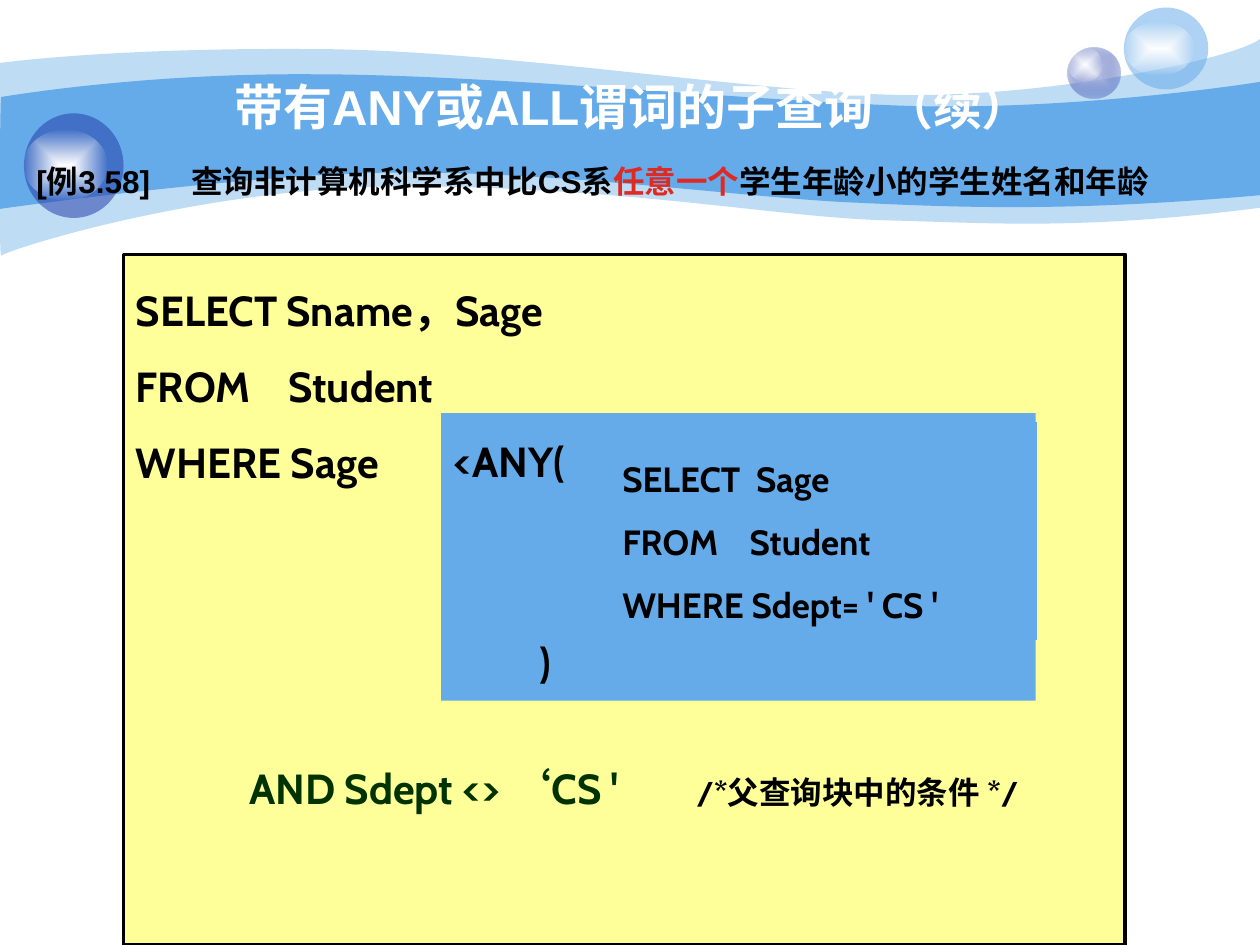
from lxml.etree import SubElement as Sub
from pptx import Presentation
from pptx.dml.color import RGBColor as RGB
from pptx.enum.shapes import MSO_SHAPE as Shape
from pptx.enum.text import MSO_ANCHOR as Anchor, PP_ALIGN as Align
from pptx.oxml.ns import qn
from pptx.util import Inches, Pt

THEME = dict(
    sky="65AAE9", navy="233DA9", mist="C7CEE9", white="FFFFFF", paper="FFFF99",
    ink="000000", green="003300", red="E02920",
    title=28, code=24, subcode=20, note=18, sans="Arial", mono="Cabin",
)

deck = Presentation()
deck.slide_width, deck.slide_height = Inches(10), Inches(7.5)
slide = deck.slides.add_slide(deck.slide_layouts[6])
CELL = deck.slide_width / 10  # grid of 10 columns by 7.5 rows


def paint(shape, *stops):
    """Fill with one (colour, opacity) stop, or with a gradient from centre to rim."""
    shape.shadow.inherit = False
    shape.line.fill.background()
    shape.fill.solid()
    shape.fill.fore_color.rgb = RGB.from_string(THEME[stops[0][0]])
    solid = shape._element.spPr.find(qn("a:solidFill"))
    if len(stops) == 1:
        parents = [solid]
        solid.remove(solid[0])
    else:
        gradient = solid.makeelement(qn("a:gradFill"), {"rotWithShape": "1"})
        solid.getparent().replace(solid, gradient)
        stop_list = Sub(gradient, qn("a:gsLst"))
        parents = [Sub(stop_list, qn("a:gs"), pos=pos) for pos in ("0", "100000")]
        focus = Sub(gradient, qn("a:path"), path="rect")
        Sub(focus, qn("a:fillToRect"), l="50000", t="50000", r="50000", b="50000")
    for parent, (colour, opacity) in zip(parents, stops):
        tint = Sub(parent, qn("a:srgbClr"), val=THEME[colour])
        if opacity < 100:
            Sub(tint, qn("a:alpha"), val=str(opacity * 1000))


def write(box, lines, font, size, spacing=1.0, top=0.05, align=Align.LEFT,
          anchor=Anchor.TOP, indent=0, tab=None):
    """Lines are lists of (text, colour) or (text, colour, size) runs."""
    frame = box.text_frame
    frame.word_wrap = True
    frame.vertical_anchor = anchor
    frame.margin_left = frame.margin_right = int(0.1 * CELL)
    frame.margin_top, frame.margin_bottom = int(top * CELL), int(0.05 * CELL)
    for number, runs in enumerate(lines):
        line = frame.add_paragraph() if number else frame.paragraphs[0]
        line.alignment, line.line_spacing = align, spacing
        props = line._p.get_or_add_pPr()
        props.set("marL", str(int(indent * CELL)))
        if tab:
            Sub(Sub(props, qn("a:tabLst")), qn("a:tab"), pos=str(int(tab * CELL)), algn="l")
        for text, colour, *own_size in runs:
            run = line.add_run()
            run.text = text
            run.font.name, run.font.bold = font, True
            run.font.size = Pt(own_size[0] if own_size else size)
            run.font.color.rgb = RGB.from_string(THEME[colour])


# Header waves: start point, then cubic curves; a single point is a straight edge
waves = [
    (41, (0, 0.5), [
        [(0.24, 0.47), (1.07, 0.38), (2.47, 0.39)],
        [(3.86, 0.39), (5.75, 0.7), (6.99, 0.75)],
        [(8.22, 0.8), (9.8, 0.47), (10, 0.31)],
        [(10, 1.65)],
        [(8.58, 1.83), (7.87, 1.77), (7.05, 1.75)],
        [(6.22, 1.73), (5.15, 1.51), (3.43, 1.48)],
        [(1.72, 1.44), (0.04, 1.99), (0.01, 2.03)],
        [(-0.01, 2.08), (0, 0.75), (0, 0.5)]]),
    (100, (0.01, 0.77), [
        [(0.02, 0.77), (1.1, 0.58), (2.48, 0.59)],
        [(3.86, 0.59), (5.95, 0.8), (7.18, 0.84)],
        [(8.41, 0.88), (9.76, 0.69), (10, 0.65)],
        [(10, 1.55)],
        [(8.53, 1.68), (7.65, 1.65), (6.82, 1.61)],
        [(5.99, 1.58), (4.47, 1.36), (3.17, 1.37)],
        [(2.03, 1.37), (-0.02, 1.66), (-0.01, 1.66)],
        [(0, 1.66), (0, 0.77), (0.01, 0.77)]]),
]
for opacity, start, edges in waves:
    points = [(int(x * CELL), int(y * CELL)) for x, y in [start, *sum(edges, [])]]
    pen = slide.shapes.build_freeform(*points[0])
    pen.add_line_segments(points[1:], close=True)
    wave = pen.convert_to_shape()
    # Join each three straight segments into one cubic curve
    segments = iter(list(wave._element.iter(qn("a:lnTo"))))
    for edge in edges:
        parts = [next(segments) for _ in edge]
        if len(parts) == 3:
            curve = parts[0].makeelement(qn("a:cubicBezTo"), {})
            parts[0].addprevious(curve)
            for part in parts:
                curve.append(part[0])
                part.getparent().remove(part)
    paint(wave, ("sky", opacity))

# Glass orbs, each with a soft highlight
glow = [("white", 100), ("white", 0)]
orbs = [
    ((8.47, 0.38, 0.42, 0.4), [("mist", 100), ("navy", 31)]),
    ((8.47, 0.38, 0.28, 0.27), glow),
    ((8.92, 0.06, 0.67, 0.65), [("sky", 53)]),
    ((8.92, 0.17, 0.56, 0.43), glow),
    ((0.19, 0.9, 0.79, 0.83), [("navy", 53)]),
    ((0.19, 1.03, 0.66, 0.56), glow),
]
for place, stops in orbs:
    paint(slide.shapes.add_shape(Shape.OVAL, *(int(v * CELL) for v in place)), *stops)

# Query panels, from the outer query inwards
mono, code = THEME["mono"], THEME["code"]
panels = [
    ((0.98, 2.02, 7.95, 5.48), "paper",
     [[("SELECT Sname，Sage", "ink")], [("FROM    Student", "ink")], [("WHERE Sage", "ink")]],
     dict(size=code, spacing=1.5, top=0.04)),
    ((3.5, 3.28, 4.72, 2.36), "sky",
     [[("<ANY(", "ink")], [(")", "ink")]],
     dict(size=code, top=0.18)),
    ((4.84, 3.35, 3.39, 1.73), "sky",
     [[("SELECT  Sage", "ink")], [("FROM    Student", "ink")], [("WHERE Sdept= ' CS '", "ink")]],
     dict(size=THEME["subcode"], spacing=1.5, anchor=Anchor.MIDDLE)),
    ((1.06, 5.56, 7.48, 1.18), "paper",
     [[("AND Sdept <> ‘CS '\t", "green"), ("/*父查询块中的条件 */", "ink", THEME["note"])]],
     dict(size=code, spacing=1.5, anchor=Anchor.MIDDLE, indent=0.82, tab=3.55)),
]
boxes = []
for place, fill, lines, style in panels:
    box = slide.shapes.add_shape(Shape.RECTANGLE, *(int(v * CELL) for v in place))
    paint(box, (fill, 100))
    write(box, lines, mono, **style)
    boxes.append(box)

# Frame of the outer query, and the bracket closing the subquery
outer, subquery = boxes[:2]
outer.line.color.rgb = RGB.from_string(THEME["ink"])
outer.line.width = Pt(2.25)
bracket = subquery.text_frame.paragraphs[1]
bracket.space_before = Pt(86)
bracket._p.get_or_add_pPr().set("marL", str(int(0.68 * CELL)))

# Title and task
headings = [
    ((0.98, 0.53, 8.08, 0.62), [[("带有ANY或ALL谓词的子查询 （续）", "white")]],
     dict(size=THEME["title"], align=Align.CENTER, anchor=Anchor.MIDDLE)),
    ((0.19, 1.15, 9.45, 0.63),
     [[("[例3.58]\t查询非计算机科学系中比CS系", "ink"), ("任意一个", "red"),
       ("学生年龄小的学生姓名和年龄", "ink")]],
     dict(size=THEME["note"], spacing=1.3, tab=1.23)),
]
for place, lines, style in headings:
    box = slide.shapes.add_textbox(*(int(v * CELL) for v in place))
    write(box, lines, THEME["sans"], **style)

deck.save("out.pptx")
